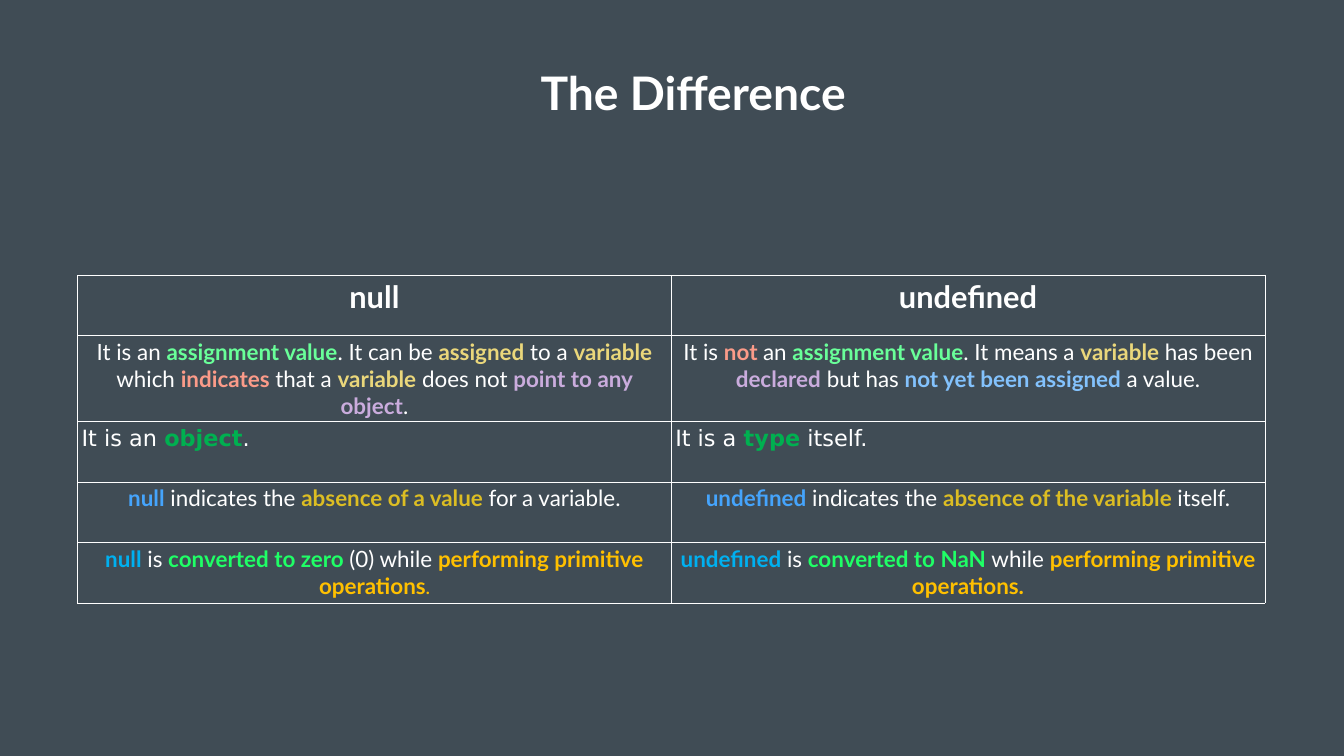
from lxml.etree import SubElement
from pptx import Presentation
from pptx.dml.color import RGBColor
from pptx.enum.text import MSO_ANCHOR, MSO_AUTO_SIZE, PP_ALIGN
from pptx.oxml import parse_xml
from pptx.oxml.ns import nsdecls, qn
from pptx.util import Emu, Pt

PX = 9144  # 100 px to the inch
INSET = 8
BODY_FONT, PLAIN_FONT = "Lato", "DejaVu Sans"

SLATE = RGBColor(0x40, 0x4C, 0x55)
WHITE = RGBColor(0xFF, 0xFF, 0xFF)
MINT = RGBColor(0x69, 0xFF, 0x99)
SAND = RGBColor(0xEA, 0xD7, 0x7B)
CORAL = RGBColor(0xFB, 0x9B, 0x89)
LILAC = RGBColor(0xCA, 0xAC, 0xDD)
SKY = RGBColor(0x83, 0xC2, 0xFD)
GREEN = RGBColor(0x00, 0xB0, 0x50)
BLUE = RGBColor(0x45, 0xA4, 0xFC)
MUSTARD = RGBColor(0xDC, 0xBD, 0x23)
CYAN = RGBColor(0x00, 0xB0, 0xF0)
LIME = RGBColor(0x1F, 0xFF, 0x66)
AMBER = RGBColor(0xFF, 0xC0, 0x00)

CENTRED = {"name": BODY_FONT, "size": 32, "alignment": PP_ALIGN.CENTER}
HEADING = CENTRED | {"size": 44, "bold": True}
PLAIN = {"name": PLAIN_FONT, "size": 32, "alignment": PP_ALIGN.LEFT, "inset": INSET}

# Each row: its format, then the runs of the two cells.
# A run is plain text in white, or (text, colour[, size]) in bold.
ROWS = [
    (HEADING, ["null"], ["undefined"]),
    (CENTRED,
     ["It is an ", ("assignment value", MINT), ". It can be ", ("assigned", SAND),
      " to a ", ("variable", SAND), " which ", ("indicates", CORAL), " that a ",
      ("variable", SAND), " does not ", ("point to any object", LILAC), "."],
     ["It is ", ("not ", CORAL), "an ", ("assignment value", MINT), ". It means a ",
      ("variable", SAND), " has been ", ("declared", LILAC), " but has ",
      ("not yet been assigned ", SKY), "a value."]),
    (PLAIN,
     ["It is an ", ("object", GREEN), "."],
     ["It is a ", ("type", GREEN), " itself."]),
    (CENTRED,
     [("null", BLUE), " indicates the ", ("absence of a value ", MUSTARD),
      "for a variable."],
     [("undefined", BLUE), " indicates the ", ("absence of the variable ", MUSTARD),
      "itself."]),
    (CENTRED,
     [("null", CYAN), " is ", ("converted to zero ", LIME), "(0) while ",
      ("performing primitive operations", AMBER), (".", AMBER, 24)],
     [("undefined", CYAN), " is ", ("converted to NaN ", LIME), "while ",
      ("performing primitive operations.", AMBER)]),
]


def px(length):
    return Emu(length * PX)


def set_all(target, values):
    for name, value in values.items():
        setattr(target, name, value)


def margins(inset):
    return {f"margin_{side}": px(inset) for side in ("left", "top", "right", "bottom")}


def write_runs(paragraph, runs, style):
    paragraph.alignment = style["alignment"]
    for item in runs:
        accented = isinstance(item, tuple)
        text, colour, *size = item if accented else (item, WHITE)
        run = paragraph.add_run()
        run.text = text
        set_all(run.font, {
            "name": style["name"],
            "size": Pt(size[0] if size else style["size"]),
            "bold": accented or style.get("bold", False),
        })
        run.font.color.rgb = colour


def border_cell(cell, colour, width):
    properties = cell._tc.get_or_add_tcPr()
    for position, side in enumerate("LRTB"):
        line = parse_xml(f'<a:ln{side} {nsdecls("a")} w="{Pt(width)}"/>')
        fill = SubElement(line, qn("a:solidFill"))
        SubElement(fill, qn("a:srgbClr"), val=str(colour))
        properties.insert(position, line)


def add_title(slide, left, top, width, height):
    box = slide.shapes.add_textbox(px(left), px(top), px(width), px(height))
    frame = box.text_frame
    set_all(frame, margins(INSET) | {
        "word_wrap": True,
        "auto_size": MSO_AUTO_SIZE.SHAPE_TO_FIT_TEXT,
        "vertical_anchor": MSO_ANCHOR.MIDDLE,
    })
    write_runs(frame.paragraphs[0], ["The Difference"], HEADING | {"size": 66})


def add_comparison(slide, left, top, width, row_height):
    shape = slide.shapes.add_table(len(ROWS), 2, px(left), px(top), px(width),
                                   px(row_height * len(ROWS)))
    table = shape.table
    set_all(table, {"first_row": False, "horz_banding": False})
    for column in table.columns:
        column.width = px(width // 2)
    for row, (style, *contents) in zip(table.rows, ROWS):
        row.height = px(row_height)
        for cell, runs in zip(row.cells, contents):
            cell.fill.background()
            border_cell(cell, WHITE, 1)
            if "inset" in style:
                set_all(cell, margins(style["inset"]))
            write_runs(cell.text_frame.paragraphs[0], runs, style)


def main():
    presentation = Presentation()
    set_all(presentation, {"slide_width": px(2667), "slide_height": px(1500)})
    slide = presentation.slides.add_slide(presentation.slide_layouts[6])
    slide.background.fill.solid()
    slide.background.fill.fore_color.rgb = SLATE
    add_title(slide, 154, 120, 2443, 127)
    add_comparison(slide, 154, 546, 2356, 120)
    presentation.save("out.pptx")


if __name__ == "__main__":
    main()
